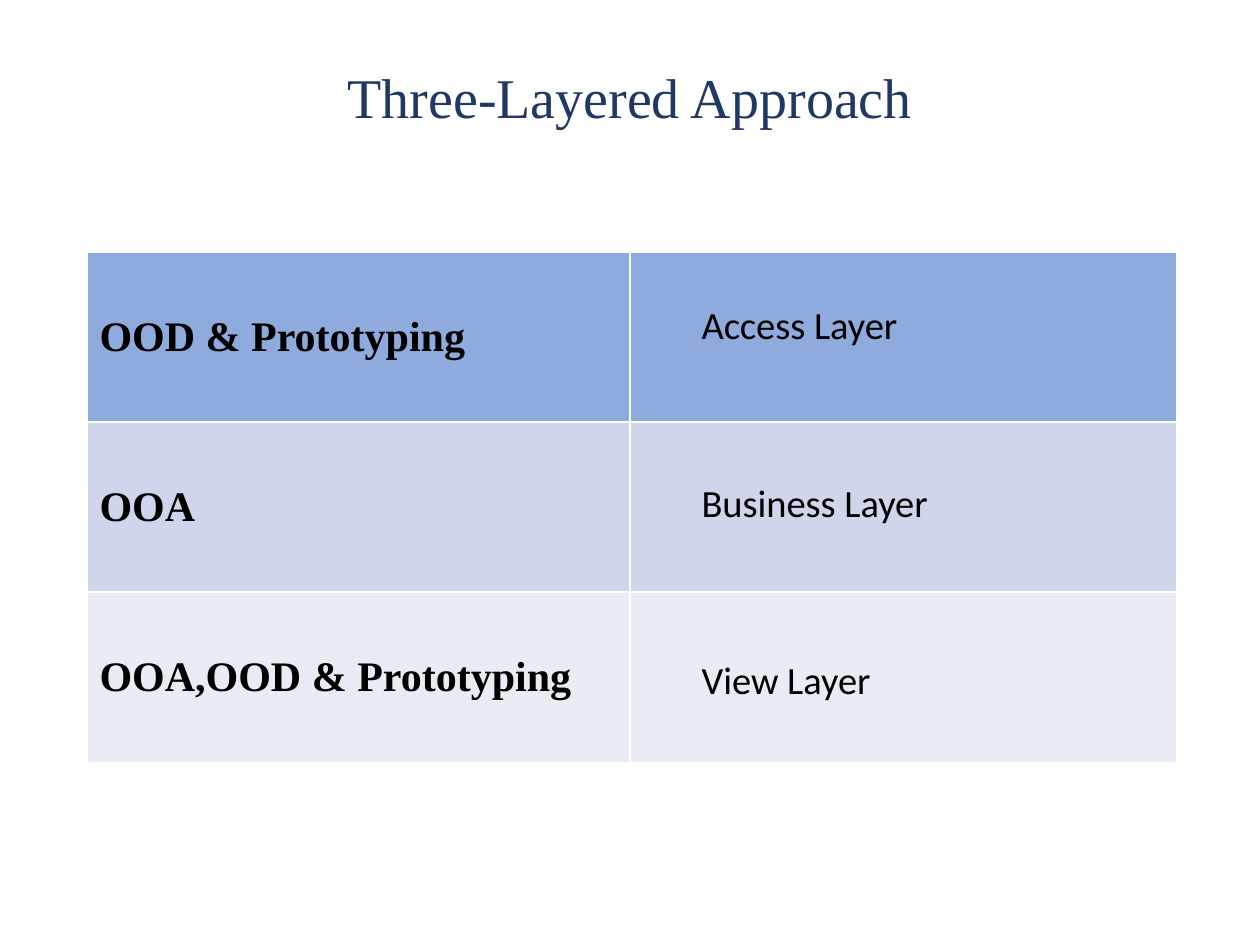
from lxml import etree
from pptx import Presentation
from pptx.dml.color import RGBColor
from pptx.enum import text
from pptx.oxml.ns import qn
from pptx.util import Inches, Pt

SERIF, SANS = "Times New Roman", "Calibri"
LEFT = 0.69
ROW_H = 1.35

# Activity, layer and row fill
LAYERS = [
    ("OOD & Prototyping", "Access Layer", "8FAADC"),
    ("OOA", "Business Layer", "CFD5EA"),
    ("OOA,OOD & Prototyping", "View Layer", "E9EBF5"),
]


def rgb(value):
    return RGBColor.from_string(value)


def write(tf, words, font=SANS, size=22, color="000000", bold=False,
          align=text.PP_ALIGN.LEFT, spacing=None):
    p = tf.paragraphs[0]
    p.alignment = align
    p.line_spacing = spacing
    r = p.add_run()
    r.text = words
    r.font.name = font
    r.font.size = Pt(size)
    r.font.bold = bold
    r.font.color.rgb = rgb(color)


def add_text(slide, x, y, w, h, words, anchor=text.MSO_ANCHOR.TOP, **fmt):
    sp = slide.shapes.add_textbox(Inches(x), Inches(y), Inches(w), Inches(h))
    tf = sp.text_frame
    tf.word_wrap = True
    tf.vertical_anchor = anchor
    write(tf, words, **fmt)


def style_cell(cell, fill, line="FFFFFF", width=1):
    cell.vertical_anchor = text.MSO_ANCHOR.MIDDLE
    # Borders come before the fill in the cell properties
    tc_pr = cell._tc.get_or_add_tcPr()
    for side in ("lnL", "lnR", "lnT", "lnB"):
        ln = etree.SubElement(tc_pr, qn(f"a:{side}"), w=str(Pt(width)))
        solid = etree.SubElement(ln, qn("a:solidFill"))
        etree.SubElement(solid, qn("a:srgbClr"), val=line)
    cell.fill.solid()
    cell.fill.fore_color.rgb = rgb(fill)


def add_layer_table(slide, y, widths):
    frame = slide.shapes.add_table(
        len(LAYERS), len(widths), Inches(LEFT), Inches(y),
        Inches(sum(widths)), Inches(ROW_H * len(LAYERS)))
    table = frame.table
    for column, width in zip(table.columns, widths):
        column.width = Inches(width)
    for row, (activity, _, fill) in zip(table.rows, LAYERS):
        row.height = Inches(ROW_H)
        for cell in row.cells:
            style_cell(cell, fill)
        write(row.cells[0].text_frame, activity, font=SERIF, size=24, bold=True)


def main():
    prs = Presentation()
    prs.slide_width, prs.slide_height = Inches(10), Inches(7.5)
    slide = prs.slides.add_slide(prs.slide_layouts[6])

    # Title
    add_text(slide, LEFT, 0.34, 8.62, 0.91, "Three-Layered Approach",
             anchor=text.MSO_ANCHOR.MIDDLE, font=SERIF, size=32,
             color="203864", align=text.PP_ALIGN.CENTER, spacing=0.9)

    # Activities, with the layer names laid over the right column
    add_layer_table(slide, 2, (4.31, 4.34))
    for i, (_, layer, _) in enumerate(LAYERS):
        add_text(slide, 5.47, 2.34 + 1.41 * i, 3.37, 0.47, layer)

    prs.save("out.pptx")


if __name__ == "__main__":
    main()
